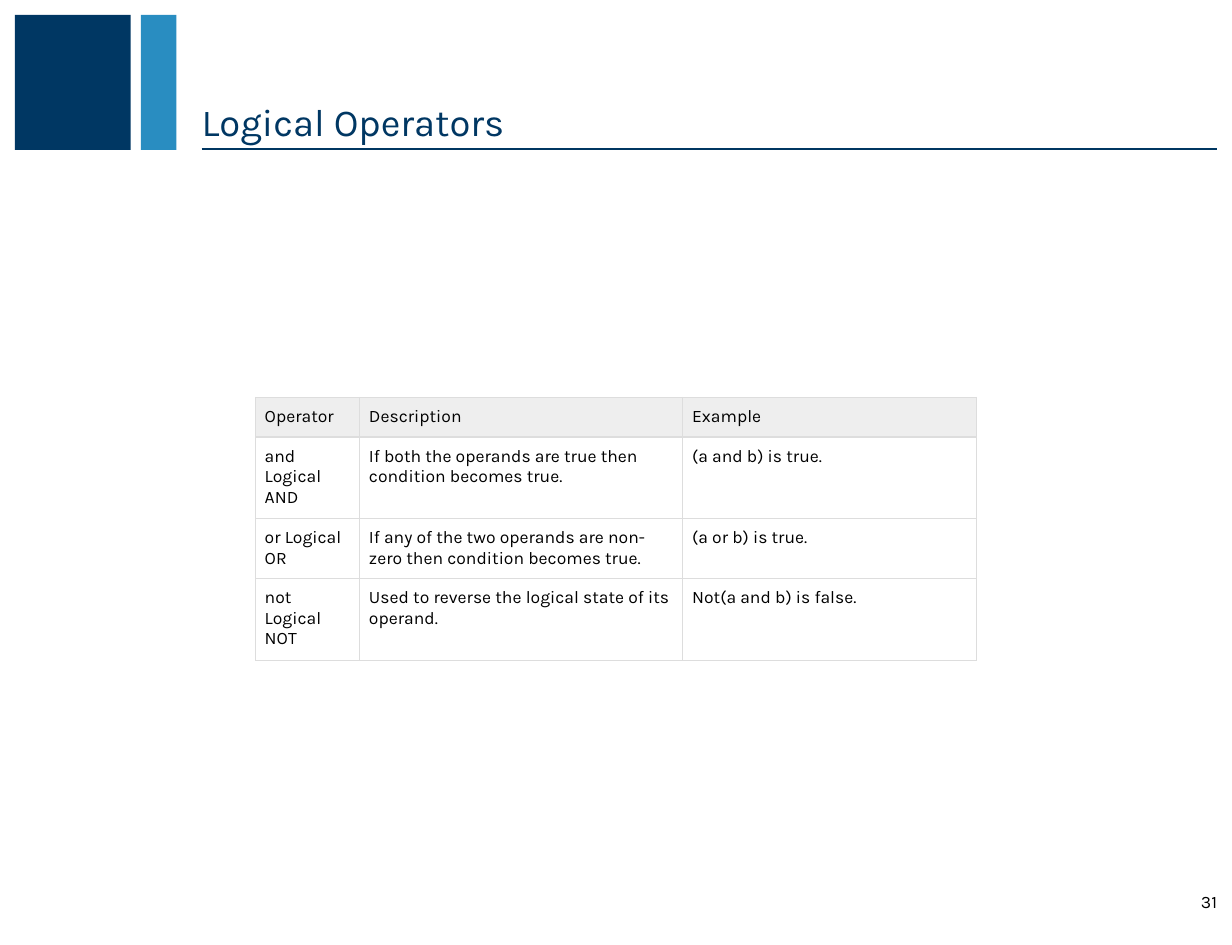
from lxml.etree import SubElement
from pptx import Presentation
from pptx.dml.color import RGBColor
from pptx.enum.shapes import MSO_CONNECTOR, MSO_SHAPE
from pptx.enum.text import MSO_ANCHOR, PP_ALIGN
from pptx.oxml.ns import qn
from pptx.util import Inches, Pt

COLORS = {
    "navy": "003763",
    "rule": "003661",
    "blue": "298DC1",
    "black": "000000",
    "header": "EEEEEE",
    "border": "DDDDDD",
}
GRID = 0.25  # inches per column and row: 43 columns by 33 rows

OPERATORS = [
    ("Operator", "Description", "Example"),
    ("and Logical AND",
     "If both the operands are true then condition becomes true.",
     "(a and b) is true."),
    ("or Logical OR",
     "If any of the two operands are non-zero then condition becomes true.",
     "(a or b) is true."),
    ("not Logical NOT",
     "Used to reverse the logical state of its operand.",
     "Not(a and b) is false."),
]
COLUMN_WIDTHS = (3.64, 11.28, 10.24)
LINES_PER_ROW = (1, 3, 2, 3)


def units(count):
    return Inches(count * GRID)


def rgb(name):
    return RGBColor.from_string(COLORS[name])


def write(frame, text, size=11, color="black", align=PP_ALIGN.LEFT,
          insets=(0, 0, 0, 0), font="Karla"):
    frame.word_wrap = True
    (frame.margin_left, frame.margin_top,
     frame.margin_right, frame.margin_bottom) = map(Inches, insets)
    paragraph = frame.paragraphs[0]
    paragraph.alignment = align
    run = paragraph.add_run()
    run.text = text
    run.font.name = font
    run.font.size = Pt(size)
    run.font.color.rgb = rgb(color)


class SlideBuilder:
    def __init__(self, slide):
        self.shapes = slide.shapes

    def block(self, left, top, width, height, color):
        block = self.shapes.add_shape(
            MSO_SHAPE.RECTANGLE, *map(units, (left, top, width, height)))
        block.shadow.inherit = False
        block.fill.solid()
        block.fill.fore_color.rgb = rgb(color)
        block.line.fill.background()

    def rule(self, left, right, y, color, weight=1):
        rule = self.shapes.add_connector(
            MSO_CONNECTOR.STRAIGHT, *map(units, (left, y, right, y)))
        rule.line.color.rgb = rgb(color)
        rule.line.width = Pt(weight)
        SubElement(rule._element.spPr, qn("a:effectLst"))

    def text(self, left, top, width, height, text, anchor, **style):
        box = self.shapes.add_textbox(*map(units, (left, top, width, height)))
        box.text_frame.vertical_anchor = anchor
        write(box.text_frame, text, **style)

    def table(self, left, top, widths, heights, rows):
        table = self.shapes.add_table(
            len(rows), len(widths), units(left), units(top),
            units(sum(widths)), units(sum(heights))).table
        table.first_row = table.horz_banding = False
        for column, width in zip(table.columns, widths):
            column.width = units(width)
        for r, (row, height) in enumerate(zip(rows, heights)):
            table.rows[r].height = units(height)
            for c, text in enumerate(row):
                self.cell(table.cell(r, c), text, is_header=r == 0)

    def cell(self, cell, text, is_header):
        write(cell.text_frame, text)
        cell.margin_left = cell.margin_right = Inches(0.08)
        cell.margin_top = cell.margin_bottom = Inches(0.08)
        properties = cell._tc.get_or_add_tcPr()
        for side in ("lnL", "lnR", "lnT", "lnB"):
            border = SubElement(properties, qn(f"a:{side}"), w=str(Pt(0.75)))
            fill = SubElement(border, qn("a:solidFill"))
            SubElement(fill, qn("a:srgbClr"), val=COLORS["border"])
        if is_header:
            cell.fill.solid()
            cell.fill.fore_color.rgb = rgb("header")
        else:
            cell.fill.background()


def main():
    deck = Presentation()
    deck.slide_width, deck.slide_height = units(43), units(33)
    page = SlideBuilder(deck.slides.add_slide(deck.slide_layouts[6]))

    # Header band
    page.block(0.52, 0.52, 4.04, 4.72, "navy")
    page.block(4.92, 0.52, 1.24, 4.72, "blue")
    page.rule(7.04, 42.48, 5.2, "rule")
    page.text(7.04, 0.52, 35.44, 4.72, "Logical Operators", MSO_ANCHOR.BOTTOM,
              size=24, color="navy", insets=(0, 0.05, 0, 0.05))

    # Operator table
    heights = [0.68 + 0.7 * lines for lines in LINES_PER_ROW]
    page.table(8.92, 13.88, COLUMN_WIDTHS, heights, OPERATORS)

    # Page number
    page.text(40.8, 31, 1.68, 1.08, "31", MSO_ANCHOR.MIDDLE,
              align=PP_ALIGN.RIGHT, insets=(0, 0, 0, 0.03))

    deck.save("out.pptx")


if __name__ == "__main__":
    main()
